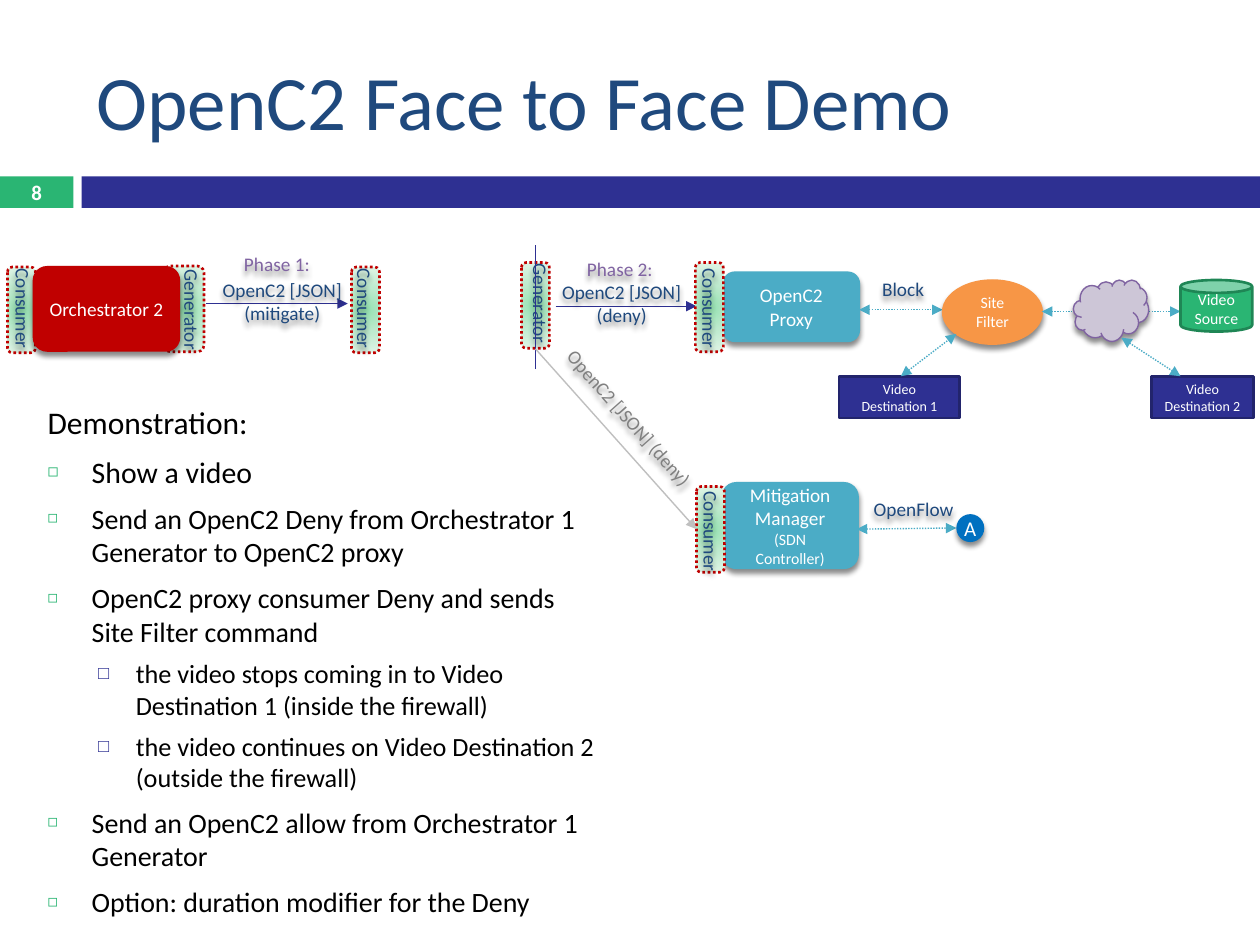
from dataclasses import dataclass
from typing import Any

from lxml import etree
from pptx import Presentation
from pptx.dml.color import RGBColor
from pptx.enum.dml import MSO_LINE
from pptx.enum.shapes import MSO_CONNECTOR, MSO_SHAPE as SHAPE
from pptx.enum.text import MSO_ANCHOR, MSO_AUTO_SIZE, PP_ALIGN
from pptx.oxml.ns import qn
from pptx.util import Pt

FONT = "Calibri"
COLORS = {
    "navy": "1F497D", "indigo": "2E3092", "dark_indigo": "22246C",
    "green": "2AB573", "dark_green": "1F8655", "red": "C00000",
    "teal": "4BACC6", "orange": "F79646", "purple": "8064A2",
    "lilac": "CDC6D7", "blue": "0070C0", "silver": "BFBFBF",
    "gray": "808080", "white": "FFFFFF", "black": "000000",
}
MINT = [(0, "93E1B0"), (50, "BEEACE"), (100, "E0F4E7")]


def rgb(color):
    return RGBColor.from_string(COLORS[color])


def add_element(parent, tag, **attributes):
    return etree.SubElement(parent, qn(tag), {k: str(v) for k, v in attributes.items()})


def set_font(paragraph, size, color, bold=False):
    font = paragraph.font
    font.name, font.size, font.bold = FONT, Pt(size), bold
    font.color.rgb = rgb(color)


def add_shadow(shape):
    effects = shape._element.spPr.find(qn("a:effectLst"))
    shadow = add_element(effects, "a:outerShdw", blurRad=Pt(3), dist=Pt(2.4),
                         dir=5400000, rotWithShape=0)
    tone = add_element(shadow, "a:srgbClr", val=COLORS["black"])
    add_element(tone, "a:alpha", val=45000)


def fill_mint(shape):
    shape.fill.gradient()
    gradient = shape._element.spPr.find(qn("a:gradFill"))
    gradient.clear()
    stops = add_element(gradient, "a:gsLst")
    for position, tone in MINT:
        stop = add_element(stops, "a:gs", pos=position * 1000)
        add_element(stop, "a:srgbClr", val=tone)
    circle = add_element(gradient, "a:path", path="circle")
    add_element(circle, "a:fillToRect", l=50000, t=50000, r=50000, b=50000)


@dataclass
class Region:
    shapes: Any
    left: float
    top: float

    def node(self, kind, x, y, width, height, fill=None, line=None, weight=0.79,
             text="", size=11, color="white", shadow=True, inset=7.2, bold=False):
        shape = self.shapes.add_shape(kind, Pt(self.left + x), Pt(self.top + y),
                                      Pt(width), Pt(height))
        shape.shadow.inherit = False
        if fill:
            shape.fill.solid()
            shape.fill.fore_color.rgb = rgb(fill)
        else:
            shape.fill.background()
        if line:
            shape.line.color.rgb = rgb(line)
            shape.line.width = Pt(weight)
        else:
            shape.line.fill.background()
        if shadow:
            add_shadow(shape)
        if text:
            frame = shape.text_frame
            frame.word_wrap = True
            frame.vertical_anchor = MSO_ANCHOR.MIDDLE
            frame.margin_left = frame.margin_right = Pt(inset)
            frame.margin_top = frame.margin_bottom = Pt(min(inset, 3.6))
            paragraph = frame.paragraphs[0]
            paragraph.text = text
            paragraph.alignment = PP_ALIGN.CENTER
            set_font(paragraph, size, color, bold)
        return shape

    def label(self, text, x, y, width, height, color="navy", rotation=0):
        shape = self.node(SHAPE.ROUNDED_RECTANGLE, x, y, width, height,
                          text=text, color=color)
        shape.rotation = rotation

    def turned_label(self, text, center_x, center_y, width, height,
                     color="navy", rotation=90):
        self.label(text, center_x - width / 2, center_y - height / 2,
                   width, height, color, rotation)

    def port(self, x, y, width=16, height=49):
        shape = self.node(SHAPE.ROUNDED_RECTANGLE, x, y, width, height,
                          line="red", weight=1.5, shadow=False)
        fill_mint(shape)
        shape.line.dash_style = MSO_LINE.ROUND_DOT

    def link(self, x1, y1, x2, y2, color="indigo", dotted=False, ends=("tailEnd",)):
        line = self.shapes.add_connector(
            MSO_CONNECTOR.STRAIGHT, Pt(self.left + x1), Pt(self.top + y1),
            Pt(self.left + x2), Pt(self.top + y2))
        line.line.color.rgb = rgb(color)
        line.line.width = Pt(0.79)
        if dotted:
            line.line.dash_style = MSO_LINE.ROUND_DOT
        for end in ends:
            add_element(line.line._ln, f"a:{end}", type="triangle")
        add_element(line._element.spPr, "a:effectLst")

    def two_way(self, x1, y1, x2, y2):
        self.link(x1, y1, x2, y2, "teal", True, ("headEnd", "tailEnd"))


def place(holder, left, top, width, height):
    holder.left, holder.top = Pt(left), Pt(top)
    holder.width, holder.height = Pt(width), Pt(height)


def build_header(slide, left, top):
    title = slide.shapes.title
    place(title, left + 48, top + 18, 642, 78)
    title.text_frame.vertical_anchor = MSO_ANCHOR.MIDDLE
    heading = title.text_frame.paragraphs[0]
    heading.text = "OpenC2 Face to Face Demo"
    heading.alignment = PP_ALIGN.LEFT
    set_font(heading, 44, "navy")
    band = Region(slide.shapes, left, top + 100.8)
    band.node(SHAPE.RECTANGLE, 0, 0, 42, 18, "green", text="8", size=11.9,
              bold=True, shadow=False, inset=0)
    band.node(SHAPE.RECTANGLE, 46.6, 0, 673.4, 18, "indigo", shadow=False)


def build_mitigate_phase(shapes, left, top):
    phase = Region(shapes, left, top)
    phase.port(0.3, 12.6)
    phase.port(196.9, 12.6)
    phase.port(89.6, 12, 23)
    phase.node(SHAPE.ROUNDED_RECTANGLE, 14.7, 12, 84.3, 49, "red",
               text="Orchestrator 2")
    phase.link(114, 33.5, 194.7, 33.5)
    phase.turned_label("Generator", 105.8, 37, 74, 13)
    phase.turned_label("Consumer", 204.4, 36.4, 77, 16)
    phase.turned_label("Consumer", 9.3, 36.4, 77, 14)
    phase.label("Phase 1:", 124, 5.5, 60.5, 11, "purple")
    phase.label("OpenC2 [JSON] (mitigate)", 112, 20.6, 90.7, 23)


def build_deny_phase(shapes, left, top):
    phase = Region(shapes, left, top)
    phase.link(19.5, 35, 100, 35)
    phase.label("OpenC2 [JSON] (deny)", 11.6, 22, 91.4, 22.3)
    phase.port(0, 10)
    phase.turned_label("Generator", 11, 33.5, 71, 20)
    phase.label("Phase 2:", 26, 8.3, 60.5, 11, "purple")
    phase.node(SHAPE.ROUNDED_RECTANGLE, 115.3, 15.5, 77.8, 39.6, "teal", "teal",
               text="OpenC2 Proxy")
    phase.port(99.4, 10, height=51)
    phase.turned_label("Consumer", 107.7, 36.4, 64, 23)
    phase.link(8, 71, 8, 0, ends=())


def build_sdn_branch(shapes, left, top):
    branch = Region(shapes, left, top)
    manager = branch.node(SHAPE.ROUNDED_RECTANGLE, 106.6, 76.8, 77.8, 49,
                          "teal", "teal", text="Mitigation Manager ")
    controller = manager.text_frame.paragraphs[0].add_run()
    controller.text = "(SDN Controller)"
    controller.font.size = Pt(9)
    branch.two_way(183.6, 103.4, 240.5, 102.7)
    branch.port(92, 79)
    branch.label("OpenFlow", 178.6, 80.4, 75, 23)
    branch.turned_label("Consumer", 100.4, 104.8, 64, 23)
    branch.link(0, 0.4, 92, 103.4, "silver")
    branch.node(SHAPE.OVAL, 240.5, 94.8, 16, 16, "blue", text="A", size=12, inset=0)
    branch.turned_label("OpenC2 [JSON] (deny)", 53.6, 39.7, 120, 12, "gray", 48.3)


def build_video_network(shapes, left, top):
    network = Region(shapes, left, top)
    network.label("Block", 10.6, 2, 53, 16)
    network.two_way(12, 22, 59.6, 22)
    network.node(SHAPE.OVAL, 59.6, 5, 57, 36.7, "orange", "orange",
                 text="Site Filter", size=9)
    network.two_way(116.4, 23, 195.6, 23)
    for number, x, width in ((1, 0.5, 69), (2, 179, 58.3)):
        network.node(SHAPE.RECTANGLE, x, 60, width, 23.8, "indigo", "dark_indigo",
                     1.5, f"Video Destination {number}", 8, shadow=False, inset=6)
    network.node(SHAPE.CAN, 195.6, 5, 41, 29.5, "green", "dark_green", 1.5,
                 "Video Source", 9, shadow=False, inset=3)
    network.node(SHAPE.CLOUD, 134.4, 5, 43, 35, "lilac", "purple")
    network.two_way(35.8, 60, 67.5, 35.8)
    network.two_way(161.8, 38, 195.6, 60)


def build_steps(body, left, top):
    place(body, left, top, 332, 296.6)
    steps = [
        ("Demonstration:", None, 18),
        ("Show a video", 0, 17),
        ("Send an OpenC2 Deny from Orchestrator 1 Generator to OpenC2 proxy", 0, 16),
        ("OpenC2 proxy consumer Deny and sends Site Filter command", 0, 16),
        ("the video stops coming in to Video Destination 1 (inside the firewall)", 1, 15),
        ("the video continues on Video Destination 2 (outside the firewall)", 1, 15),
        ("Send an OpenC2 allow from Orchestrator 1 Generator", 0, 16),
        ("Option: duration modifier for the Deny", 0, 16),
    ]
    bullets = [("◻", "green", 60, 25.2, 25.2, 7), ("□", "indigo", 70, 50.4, 21.6, 5.5)]
    frame = body.text_frame
    frame.auto_size = MSO_AUTO_SIZE.NONE
    frame.text = "\n".join(text for text, _, _ in steps)
    for paragraph, (_, level, size) in zip(frame.paragraphs, steps):
        properties = paragraph._p.get_or_add_pPr()
        if level is None:
            properties.set("marL", "0")
            properties.set("indent", "0")
            add_element(properties, "a:buNone")
            paragraph.space_before = Pt(0)
        else:
            mark, color, percent, margin, hang, gap = bullets[level]
            paragraph.level = level
            properties.set("marL", str(Pt(margin)))
            properties.set("indent", str(-Pt(hang)))
            tone = add_element(properties, "a:buClr")
            add_element(tone, "a:srgbClr", val=COLORS[color])
            add_element(properties, "a:buSzPct", val=percent * 1000)
            add_element(properties, "a:buChar", char=mark)
            paragraph.space_before = Pt(gap)
        set_font(paragraph, size, "black")


def main():
    deck = Presentation()
    deck.slide_width, deck.slide_height = Pt(720), Pt(540)
    slide = deck.slides.add_slide(deck.slide_layouts[1])
    build_header(slide, 0, 0)
    build_mitigate_phase(slide.shapes, 4, 140)
    build_deny_phase(slide.shapes, 298, 140)
    build_sdn_branch(slide.shapes, 306, 199)
    build_video_network(slide.shapes, 479, 155)
    build_steps(slide.placeholders[1], 20, 226.8)
    deck.save("out.pptx")


if __name__ == "__main__":
    main()
